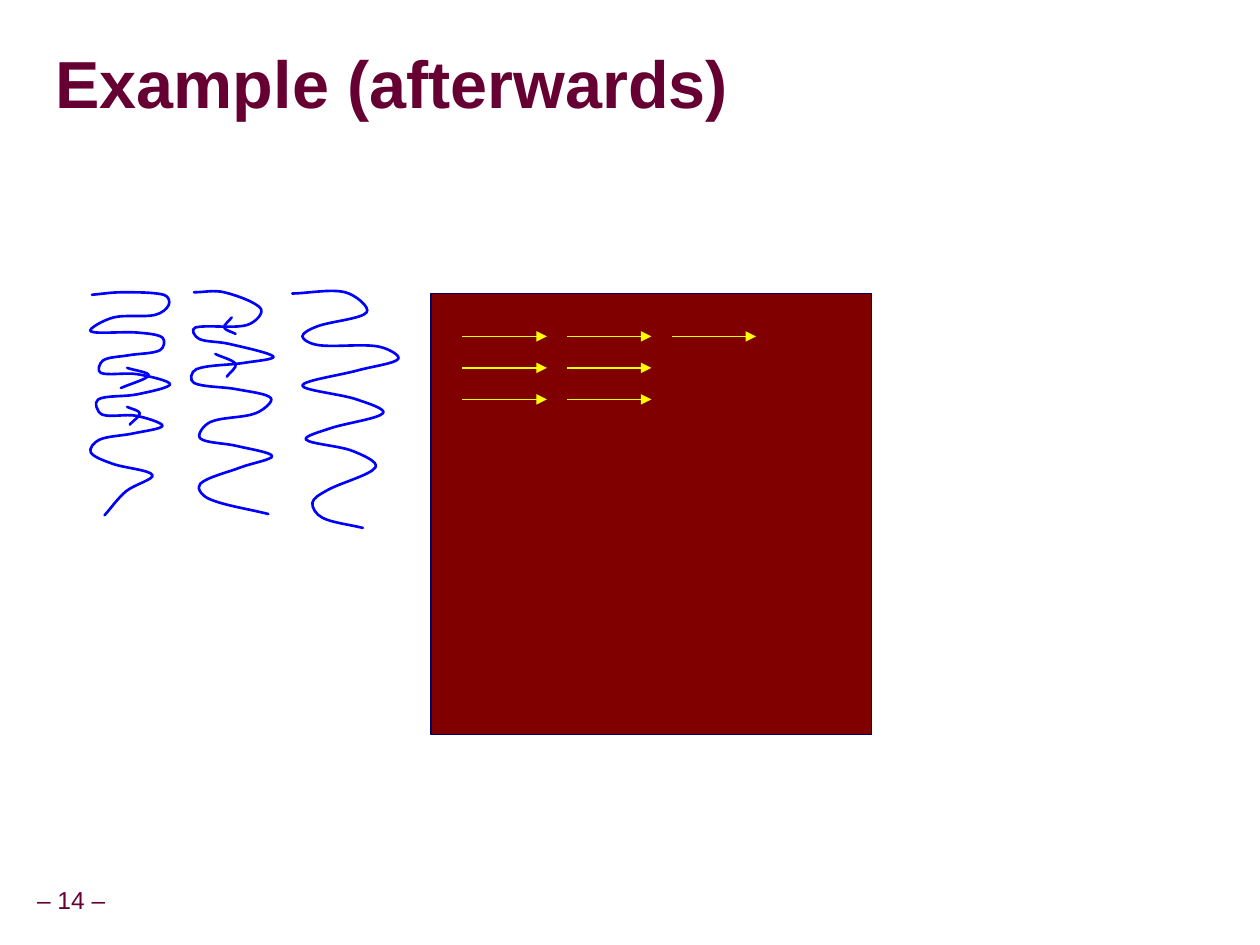
import math
from dataclasses import dataclass

import lxml.etree
import pptx
import pptx.dml.color
import pptx.enum.shapes
import pptx.enum.text
import pptx.oxml
import pptx.oxml.ns
import pptx.util

PX = 9144


@dataclass(frozen=True)
class Theme:
    font: str = "Arial"
    text: str = "660033"
    shadow: str = "B2B2B2"
    block: str = "800000"
    block_line: str = "000066"
    arrow: str = "FFFF00"
    thread: str = "0000FF"
    title_size: int = 38
    page_size: int = 14
    thin: float = 0.75
    thick: float = 1.5


THEME = Theme()

LEFT_THREAD = [
    [(73, 234), (97, 232), (130, 234), (134, 242), (123, 250), (90, 252),
     (72, 263), (109, 264), (129, 268), (127, 278), (102, 282), (82, 286),
     (80, 296), (109, 297), (135, 305), (109, 313), (78, 317), (81, 329),
     (108, 330), (129, 338), (106, 344), (79, 349), (72, 359), (89, 368),
     (121, 377), (100, 390), (83, 409)],
    [(101, 292), (118, 298), (96, 308)],
    [(101, 323), (111, 328), (103, 337)],
]
MIDDLE_THREAD = [
    [(154, 232), (178, 232), (207, 245), (196, 258), (155, 260), (158, 269),
     (182, 273), (217, 283), (194, 288), (156, 293), (154, 304), (188, 309),
     (215, 316), (203, 328), (167, 335), (159, 348), (188, 354), (216, 362),
     (191, 371), (159, 384), (166, 396), (213, 408)],
    [(184, 252), (178, 260), (187, 265)],
    [(171, 281), (187, 289), (180, 299)],
]
RIGHT_THREAD = [
    [(232, 233), (274, 232), (291, 248), (252, 259), (240, 267), (253, 274),
     (300, 275), (316, 285), (284, 294), (240, 306), (283, 317), (304, 328),
     (262, 340), (243, 349), (280, 358), (298, 371), (260, 389), (248, 399),
     (256, 411), (288, 419)],
]


def rgb(value):
    return pptx.dml.color.RGBColor.from_string(value)


def box(left, top, width, height):
    return [v * PX for v in (left, top, width, height)]


def style_line(line, color, width):
    line.color.rgb = rgb(color)
    line.width = pptx.util.Pt(width)


def style_text(sp, text, size, bold, align, spacing, inset):
    tf = sp.text_frame
    tf.text = text
    tf.vertical_anchor = pptx.enum.text.MSO_ANCHOR.MIDDLE
    tf.margin_left = tf.margin_right = inset * PX
    tf.margin_top = tf.margin_bottom = inset * PX
    p = tf.paragraphs[0]
    p.alignment = align
    p.line_spacing = spacing
    r = p.runs[0]
    r.font.name = THEME.font
    r.font.size = pptx.util.Pt(size)
    r.font.bold = bold
    r.font.color.rgb = rgb(THEME.text)
    return r


def add_title(s, text):
    sp = s.shapes.title
    sp.left, sp.top, sp.width, sp.height = box(44, 27, 953, 85)
    r = style_text(sp, text, THEME.title_size, True,
                   pptx.enum.text.PP_ALIGN.LEFT, 0.87, 0)
    sp.text_frame.auto_size = pptx.enum.text.MSO_AUTO_SIZE.NONE
    shadow = pptx.oxml.parse_xml(
        f'<a:effectLst {pptx.oxml.ns.nsdecls("a")}>'
        '<a:outerShdw dist="45720" dir="2700000" algn="tl" rotWithShape="0">'
        f'<a:srgbClr val="{THEME.shadow}"/></a:outerShdw></a:effectLst>')
    r.font._element.find(pptx.oxml.ns.qn("a:solidFill")).addnext(shadow)


def add_page_number(s, text):
    sp = s.shapes.add_textbox(*box(-9, 700, 131, 31))
    style_text(sp, text, THEME.page_size, False,
               pptx.enum.text.PP_ALIGN.CENTER, 0.9, 5)
    sp.text_frame.word_wrap = False


def add_block(s, left, top, side):
    sp = s.shapes.add_shape(pptx.enum.shapes.MSO_SHAPE.RECTANGLE,
                            *box(left, top, side, side))
    sp.shadow.inherit = False
    sp.fill.solid()
    sp.fill.fore_color.rgb = rgb(THEME.block)
    style_line(sp.line, THEME.block_line, THEME.thin)


def add_arrow(s, left, y, length):
    sp = s.shapes.add_connector(pptx.enum.shapes.MSO_CONNECTOR.STRAIGHT,
                                left * PX, y * PX, (left + length) * PX, y * PX)
    style_line(sp.line, THEME.arrow, THEME.thin)
    qn = pptx.oxml.ns.qn
    lxml.etree.SubElement(sp.line._get_or_add_ln(), qn("a:tailEnd"), type="triangle")
    lxml.etree.SubElement(sp._element.spPr, qn("a:effectLst"))


def bezier_segments(points):
    knots = [0]
    for a, b in zip(points, points[1:]):
        knots.append(knots[-1] + math.sqrt(math.dist(a, b)))
    last = len(points) - 1
    slopes = []
    for i in range(last + 1):
        before, after = max(i - 1, 0), min(i + 1, last)
        span = knots[after] - knots[before]
        slopes.append([(b - a) / span for a, b in zip(points[before], points[after])])
    for i in range(last):
        third = (knots[i + 1] - knots[i]) / 3
        start, end = points[i], points[i + 1]
        yield ([a + m * third for a, m in zip(start, slopes[i])],
               [b - m * third for b, m in zip(end, slopes[i + 1])],
               end)


def add_thread(s, strokes):
    builder = s.shapes.build_freeform(*strokes[0][0], scale=PX)
    for i, stroke in enumerate(strokes):
        if i:
            builder.move_to(*stroke[0])
        builder.add_line_segments(stroke[1:], close=False)
    sp = builder.convert_to_shape()
    sp.shadow.inherit = False
    sp.fill.background()
    style_line(sp.line, THEME.thread, THEME.thick)
    qn = pptx.oxml.ns.qn
    ln = sp.line._get_or_add_ln()
    ln.set("cap", "rnd")
    lxml.etree.SubElement(ln, qn("a:round"))

    outline = next(sp._element.iter(qn("a:path")))
    outline.set("w", str(sp.width))
    outline.set("h", str(sp.height))
    for start, stroke in zip(outline.findall(qn("a:moveTo")), strokes):
        set_point(start[0], stroke[0], sp)
    segments = [segment for stroke in strokes for segment in bezier_segments(stroke)]
    for straight, segment in zip(outline.findall(qn("a:lnTo")), segments):
        curve = lxml.etree.Element(qn("a:cubicBezTo"))
        for point in segment:
            set_point(lxml.etree.SubElement(curve, qn("a:pt")), point, sp)
        outline.replace(straight, curve)


def set_point(pt, point, sp):
    pt.set("x", str(round(point[0] * PX) - sp.left))
    pt.set("y", str(round(point[1] * PX) - sp.top))


def main():
    prs = pptx.Presentation()
    prs.slide_width, prs.slide_height = 1000 * PX, 750 * PX
    s = prs.slides.add_slide(prs.slide_layouts[5])
    add_page_number(s, "– 14 –")
    add_title(s, "Example (afterwards)")
    add_block(s, 342, 233, 350)
    for row, count in enumerate((3, 2, 2)):
        for column in range(count):
            add_arrow(s, 367 + 83 * column, 267 + 25 * row, 67)
    for thread in (RIGHT_THREAD, MIDDLE_THREAD, LEFT_THREAD):
        add_thread(s, thread)
    prs.save("out.pptx")


if __name__ == "__main__":
    main()
